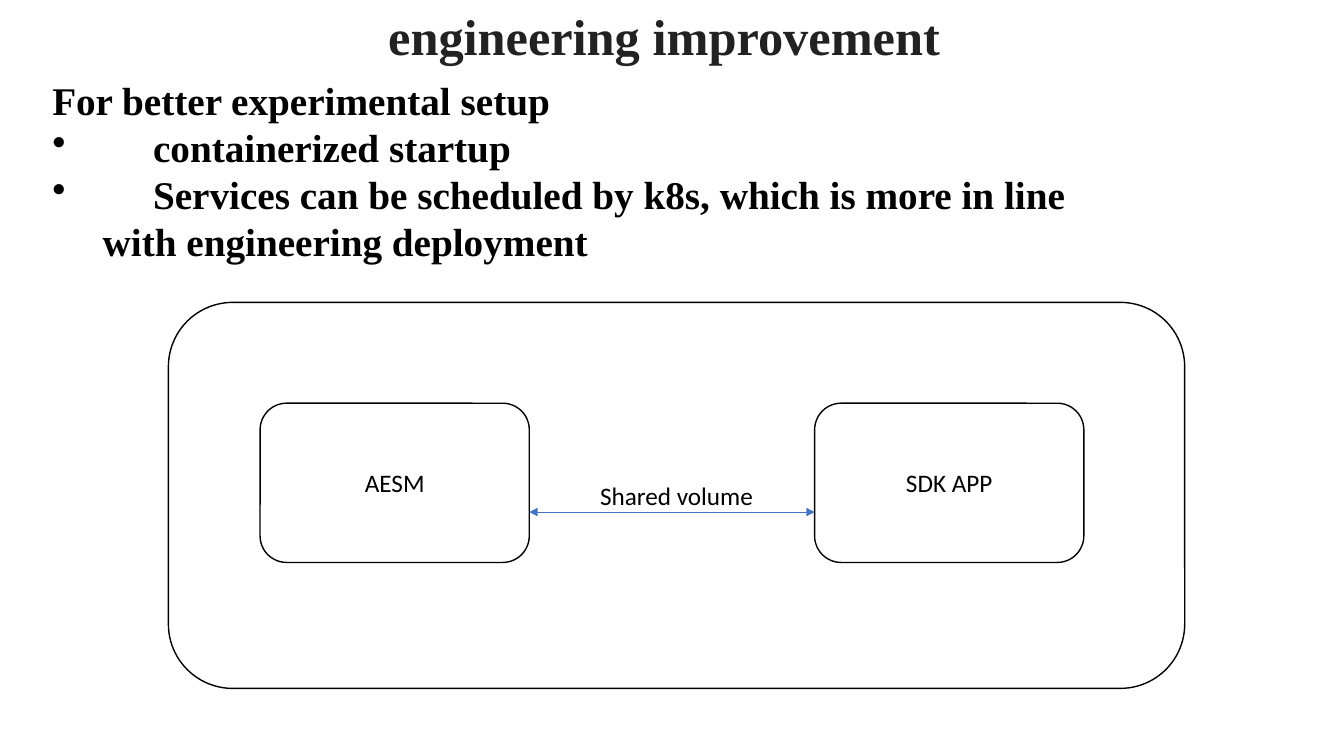
import pptx
import pptx.util
import pptx.dml.color
import pptx.enum.shapes
import pptx.enum.text
import pptx.oxml
import pptx.oxml.ns
from pptx.util import Inches

ALIGN = pptx.enum.text.PP_ALIGN
ANCHOR = pptx.enum.text.MSO_ANCHOR
SHAPES = pptx.enum.shapes

HEAD = {"name": "Times New Roman", "size": 36, "bold": True, "color": "222222"}
BODY = {"name": "Times New Roman", "size": 28, "bold": True, "color": "000000"}
LABEL = {"name": "Calibri", "size": 18, "bold": False, "color": "000000"}


def color(code):
    return pptx.dml.color.RGBColor.from_string(code)


def place(*box):
    return [Inches(n) for n in box]


def style(font, form):
    for key, value in form.items():
        if key == "color":
            font.color.rgb = color(value)
        else:
            setattr(font, key, pptx.util.Pt(value) if key == "size" else value)


def add_mark(par):
    """Give a paragraph a bullet with a hanging indent."""
    props = par._p.get_or_add_pPr()
    props.set("marL", str(Inches(0.5)))
    props.set("indent", str(-Inches(0.5)))
    mark = pptx.oxml.parse_xml(f'<a:buChar {pptx.oxml.ns.nsdecls("a")} char="•"/>')
    props.append(mark)


def fill_text(frame, lines, form):
    """Write left-aligned lines; those that start with a tab get a bullet."""
    frame.word_wrap = True
    frame.auto_size = pptx.enum.text.MSO_AUTO_SIZE.NONE
    frame.vertical_anchor = ANCHOR.TOP
    for i, line in enumerate(lines):
        par = frame.add_paragraph() if i else frame.paragraphs[0]
        run = par.add_run()
        run.text = line
        par.alignment = ALIGN.LEFT
        par.line_spacing = pptx.util.Pt(form["size"] * 1.2)
        if line.startswith("\t"):
            add_mark(par)
        style(run.font, form)


def add_title(slide, text, box):
    title = slide.shapes.title
    title.left, title.top, title.width, title.height = place(*box)
    fill_text(title.text_frame, [text], HEAD)


def add_text(slide, lines, box):
    fill_text(slide.shapes.add_textbox(*place(*box)).text_frame, lines, BODY)


def add_box(slide, text, box):
    kind = SHAPES.MSO_SHAPE.ROUNDED_RECTANGLE
    shape = slide.shapes.add_shape(kind, *place(*box))
    shape.shadow.inherit = False
    shape.fill.solid()
    shape.fill.fore_color.rgb = color("FFFFFF")
    shape.line.color.rgb = color("000000")
    shape.line.width = pptx.util.Pt(1)
    frame = shape.text_frame
    frame.vertical_anchor = ANCHOR.MIDDLE
    par = frame.paragraphs[0]
    par.alignment = ALIGN.CENTER
    run = par.add_run()
    run.text = text
    style(run.font, LABEL)


def add_arrow(slide, *ends):
    """Draw a line with an arrowhead at both ends."""
    kind = SHAPES.MSO_CONNECTOR.STRAIGHT
    link = slide.shapes.add_connector(kind, *place(*ends))
    link.line.color.rgb = color("4472C4")
    link.line.width = pptx.util.Pt(0.5)
    names = pptx.oxml.ns
    for tag in ("headEnd", "tailEnd"):
        tip = pptx.oxml.parse_xml(f'<a:{tag} {names.nsdecls("a")} type="triangle"/>')
        link.line._get_or_add_ln().append(tip)
    flat = pptx.oxml.parse_xml(f'<a:effectLst {names.nsdecls("a")}/>')
    link._element.spPr.append(flat)


def main():
    deck = pptx.Presentation()
    deck.slide_width, deck.slide_height = place(13.33, 7.5)
    slide = deck.slides.add_slide(deck.slide_layouts[5])

    add_title(slide, "engineering improvement", (3.75, 0, 5.83, 0.71))
    add_box(slide, "Shared volume", (1.67, 3, 10.08, 3.83))
    add_text(slide, [
        "For better experimental setup",
        "\tcontainerized startup",
        "\tServices can be scheduled by k8s, which is more in line "
        "with engineering deployment",
    ], (0.42, 0.71, 10.75, 1.99))

    wide, left, right = 2.67, 2.58, 8.08
    for text, x in (("AESM", left), ("SDK APP", right)):
        add_box(slide, text, (x, 4, wide, 1.58))
    add_arrow(slide, left + wide, 5.08, right, 5.08)

    deck.save("out.pptx")


if __name__ == "__main__":
    main()
